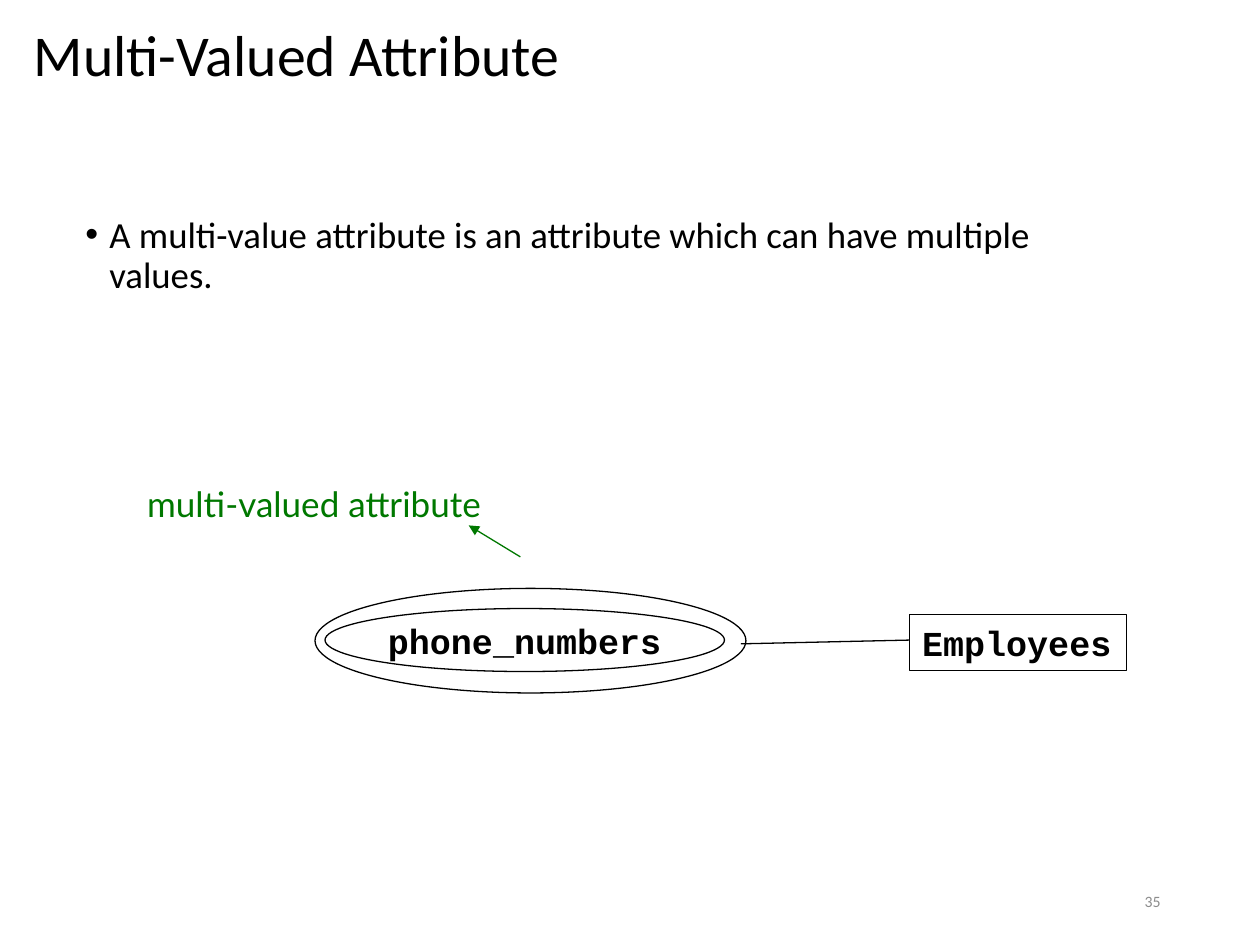
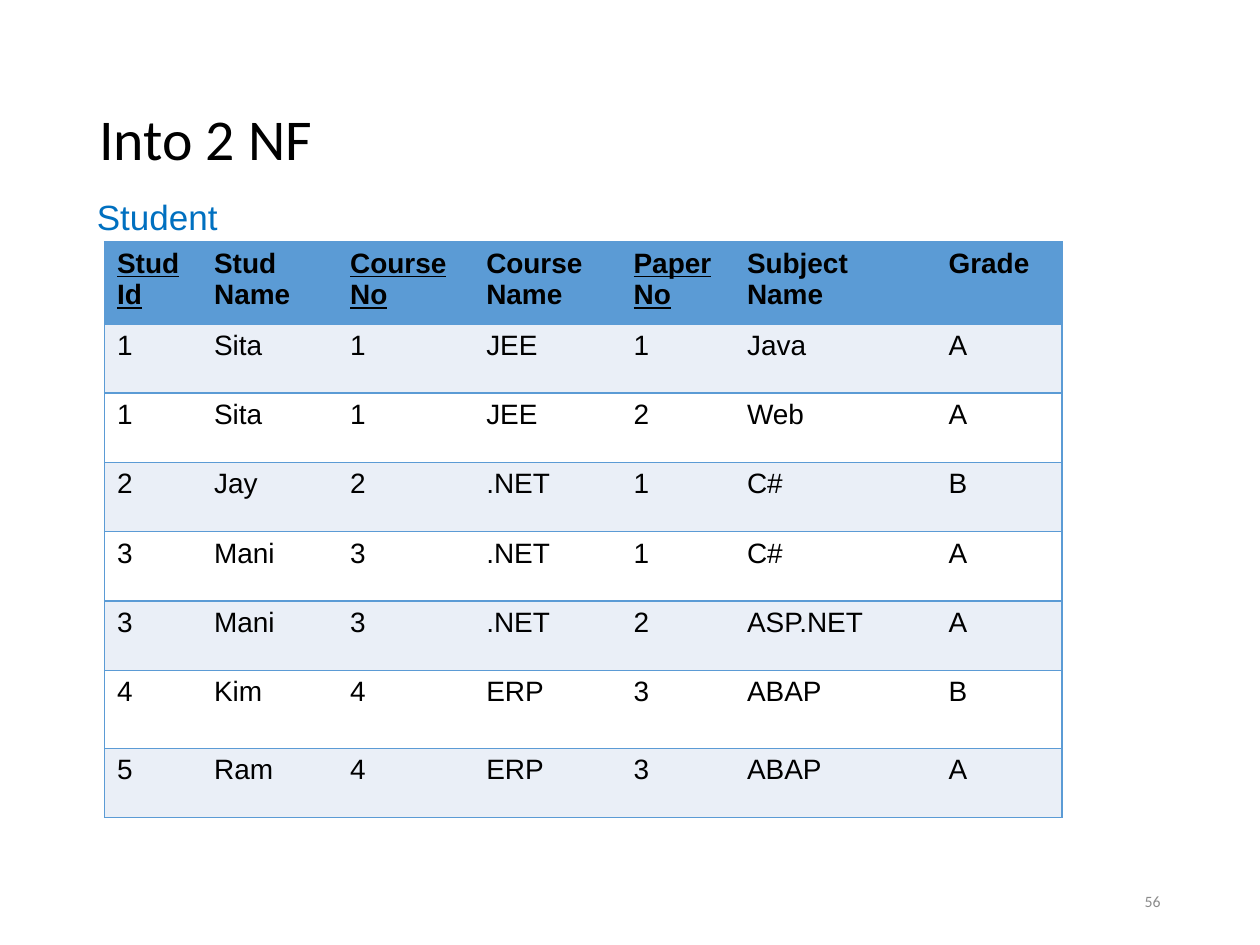
import pptx
import pptx.util
import pptx.dml.color
import pptx.enum.shapes
import pptx.enum.text
import pptx.oxml
import pptx.oxml.ns

Inches, Pt = pptx.util.Inches, pptx.util.Pt
ALIGN = pptx.enum.text.PP_ALIGN
ANCHOR = pptx.enum.text.MSO_ANCHOR
FIT = pptx.enum.text.MSO_AUTO_SIZE
KIND = pptx.enum.shapes.MSO_SHAPE

HEX = {"ink": "000000", "paper": "FFFFFF", "grey": "8C8C8C", "green": "007800",
       "head": "5B9BD5", "band": "EAEFF7", "blue": "0070C0"}


def rgb(name):
    """Turn a colour name into an RGB value."""
    return pptx.dml.color.RGBColor.from_string(HEX[name])


def element(tag, parent, **attrs):
    """Add a drawing element with attributes and return it."""
    node = pptx.oxml.parse_xml(f"<a:{tag} {pptx.oxml.ns.nsdecls('a')}/>")
    for key, value in attrs.items():
        node.set(key, str(value))
    parent.append(node)
    return node


class Deck:
    """Holds the shared style and the current slide."""

    def __init__(self):
        """Start an empty 10 by 7.5 inch deck."""
        self.prs = pptx.Presentation()
        self.prs.slide_width, self.prs.slide_height = Inches(10), Inches(7.5)

    def page(self, title, at, number):
        """Open a slide with its title and page number."""
        self.slide = self.prs.slides.add_slide(self.prs.slide_layouts[6])
        head = self.text(title, at, 33, mid=True)
        head.line_spacing = 0.9
        foot = self.text(number, (7.06, 6.95, 2.25, 0.4), 9, "grey", mid=True)
        foot.alignment = ALIGN.RIGHT

    def font(self, para, size, color="ink", face="Calibri", bold=False):
        """Set the font of a whole paragraph."""
        font = para.font
        font.size, font.name, font.bold = Pt(size), face, bold
        font.color.rgb = rgb(color)

    def text(self, words, at, size, color="ink", face="Calibri", mid=False, grow=False):
        """Add a text box and return its paragraph."""
        frame = self.slide.shapes.add_textbox(*map(Inches, at)).text_frame
        frame.text = words
        frame.word_wrap = not grow
        frame.auto_size = FIT.SHAPE_TO_FIT_TEXT if grow else FIT.NONE
        frame.vertical_anchor = ANCHOR.MIDDLE if mid else ANCHOR.TOP
        para = frame.paragraphs[0]
        self.font(para, size, color, face)
        return para

    def bullet(self, words, at):
        """Add a bulleted statement."""
        para = self.text(words, at, 21)
        para.line_spacing, para.space_before = 0.9, Pt(7.5)
        props = para._p.get_or_add_pPr()
        props.set("marL", str(Inches(0.19)))
        props.set("indent", str(-Inches(0.19)))
        element("buFont", props, typeface="Arial")
        element("buChar", props, char="•")

    def shape(self, kind, at, words="", grow=False):
        """Add an outlined shape with an optional code label."""
        shape = self.slide.shapes.add_shape(kind, *map(Inches, at))
        shape.shadow.inherit = False
        shape.fill.background()
        shape.line.color.rgb, shape.line.width = rgb("ink"), Pt(0.75)
        if words:
            frame = shape.text_frame
            frame.text, frame.word_wrap = words, False
            frame.vertical_anchor = ANCHOR.TOP if grow else ANCHOR.MIDDLE
            frame.auto_size = FIT.SHAPE_TO_FIT_TEXT if grow else FIT.NONE
            para = frame.paragraphs[0]
            para.alignment = ALIGN.LEFT if grow else ALIGN.CENTER
            self.font(para, 20, face="Courier New", bold=True)

    def line(self, start, end, color="ink", arrow=False):
        """Add a straight line, with an arrowhead at its end if wanted."""
        line = self.slide.shapes.add_connector(
            pptx.enum.shapes.MSO_CONNECTOR.STRAIGHT, *map(Inches, start + end))
        line.line.color.rgb, line.line.width = rgb(color), Pt(0.75)
        if arrow:
            element("tailEnd", line.line._get_or_add_ln(), type="triangle")
        element("effectLst", line._element.spPr)

    def edges(self, cell, first, last):
        """Rule a cell above and below, and at the table's outer sides."""
        props = cell._tc.get_or_add_tcPr()
        for side, drawn in (("L", first), ("R", last), ("T", True), ("B", True)):
            edge = element("ln" + side, props, w=Pt(1))
            if drawn:
                element("srgbClr", element("solidFill", edge), val=HEX["head"])
            else:
                element("noFill", edge)

    def table(self, rows, spot, widths, heights, keys):
        """Add a banded table whose key columns have underlined heads."""
        size = (sum(widths), sum(heights))
        grid = self.slide.shapes.add_table(
            len(rows), len(widths), *map(Inches, spot + size)).table
        grid.first_row = grid.horz_banding = False
        for col, width in zip(grid.columns, widths):
            col.width = Inches(width)
        for row, height in zip(grid.rows, heights):
            row.height = Inches(height)
        for r, row in enumerate(rows):
            fill = "head" if r == 0 else "band" if r % 2 else "paper"
            for c, words in enumerate(row):
                cell = grid.cell(r, c)
                cell.text = words
                self.edges(cell, c == 0, c == len(row) - 1)
                cell.fill.solid()
                cell.fill.fore_color.rgb = rgb(fill)
                para = cell.text_frame.paragraphs[0]
                self.font(para, 16, face="Arial", bold=r == 0)
                para.font.underline = r == 0 and c in keys


def attribute(deck):
    """Build the slide on multi-valued attributes."""
    deck.page("Multi-Valued Attribute", (0.17, 0, 9, 0.92), "35")
    deck.bullet("A multi-value attribute is an attribute which can have multiple values.",
                (0.58, 1.67, 8.5, 1.17))
    deck.shape(KIND.OVAL, (2.58, 4.83, 3.17, 0.5), "phone_numbers")
    deck.shape(KIND.RECTANGLE, (7.22, 4.88, 1.72, 0.44), "Employees", grow=True)
    deck.line((5.88, 5.11), (7.22, 5.08))
    deck.shape(KIND.OVAL, (2.5, 4.67, 3.42, 0.83))
    deck.text("multi-valued attribute", (1.07, 3.78, 2.86, 0.44), 20, "green", "Lato", grow=True)
    deck.line((4.13, 4.42), (3.72, 4.17), "green", arrow=True)


def normal(deck):
    """Build the slide with the student table."""
    deck.page("Into 2 NF", (0.69, 0.4, 8.62, 1.45), "56")
    rows = [
        ("Stud Id", "Stud Name", "Course No", "Course Name", "Paper\vNo", "Subject Name", "Grade"),
        ("1", "Sita", "1", "JEE", "1", "Java", "A"),
        ("1", "Sita", "1", "JEE", "2", "Web", "A"),
        ("2", "Jay", "2", ".NET", "1", "C#", "B"),
        ("3", "Mani", "3", ".NET", "1", "C#", "A"),
        ("3", "Mani", "3", ".NET", "2", "ASP.NET", "A"),
        ("4", "Kim", "4", "ERP", "3", "ABAP", "B"),
        ("5", "Ram", "4", "ERP", "3", "ABAP", "A"),
    ]
    widths = (0.77, 1.08, 1.08, 1.17, 0.9, 1.6, 1)
    heights = (0.65,) + (0.55,) * 5 + (0.62, 0.55)
    deck.table(rows, (0.83, 1.92), widths, heights, keys=(0, 2, 4))
    deck.text("Student", (0.67, 1.5, 1.17, 0.44), 20, "blue", "Arial", grow=True)


deck = Deck()
attribute(deck)
normal(deck)
deck.prs.save("out.pptx")
